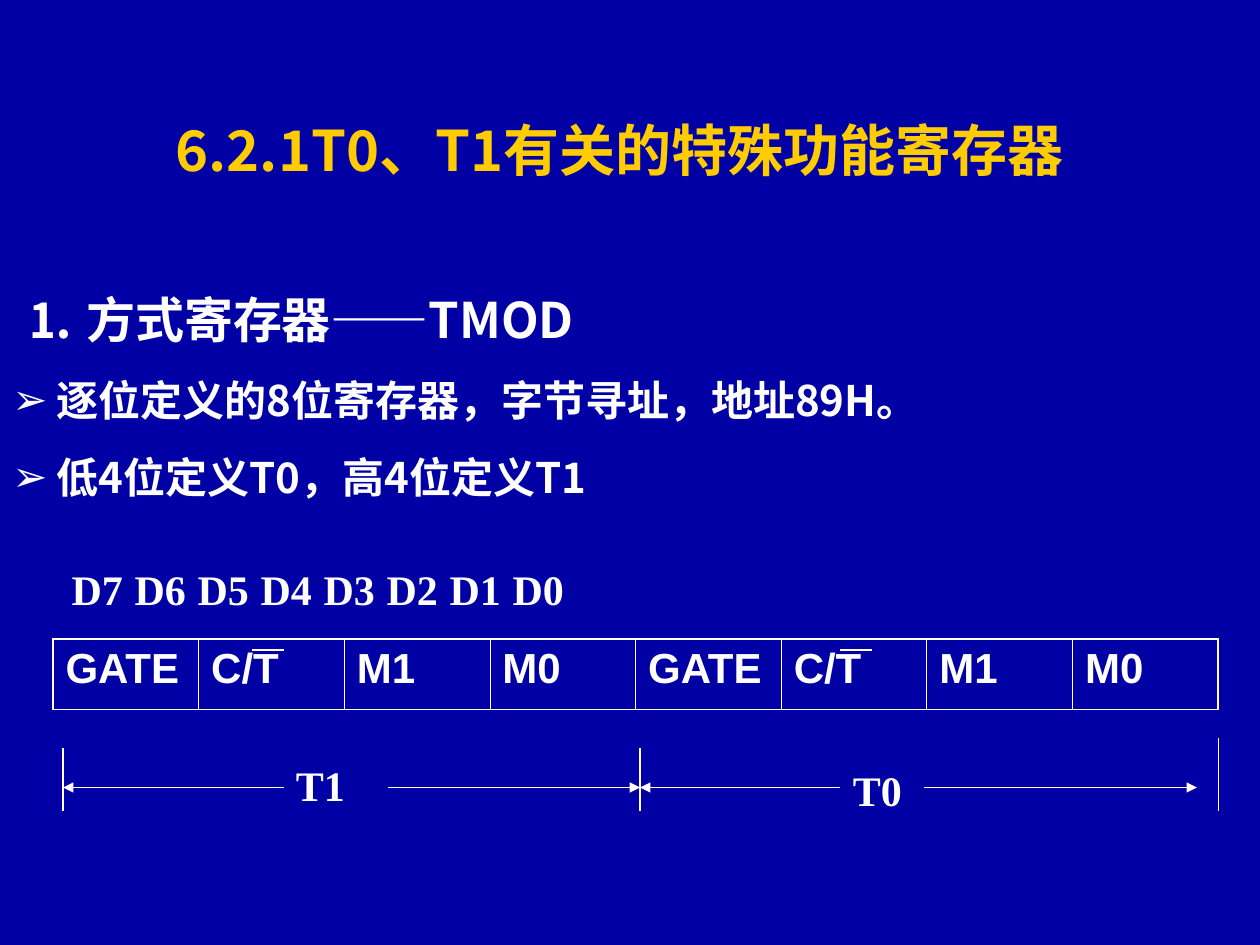
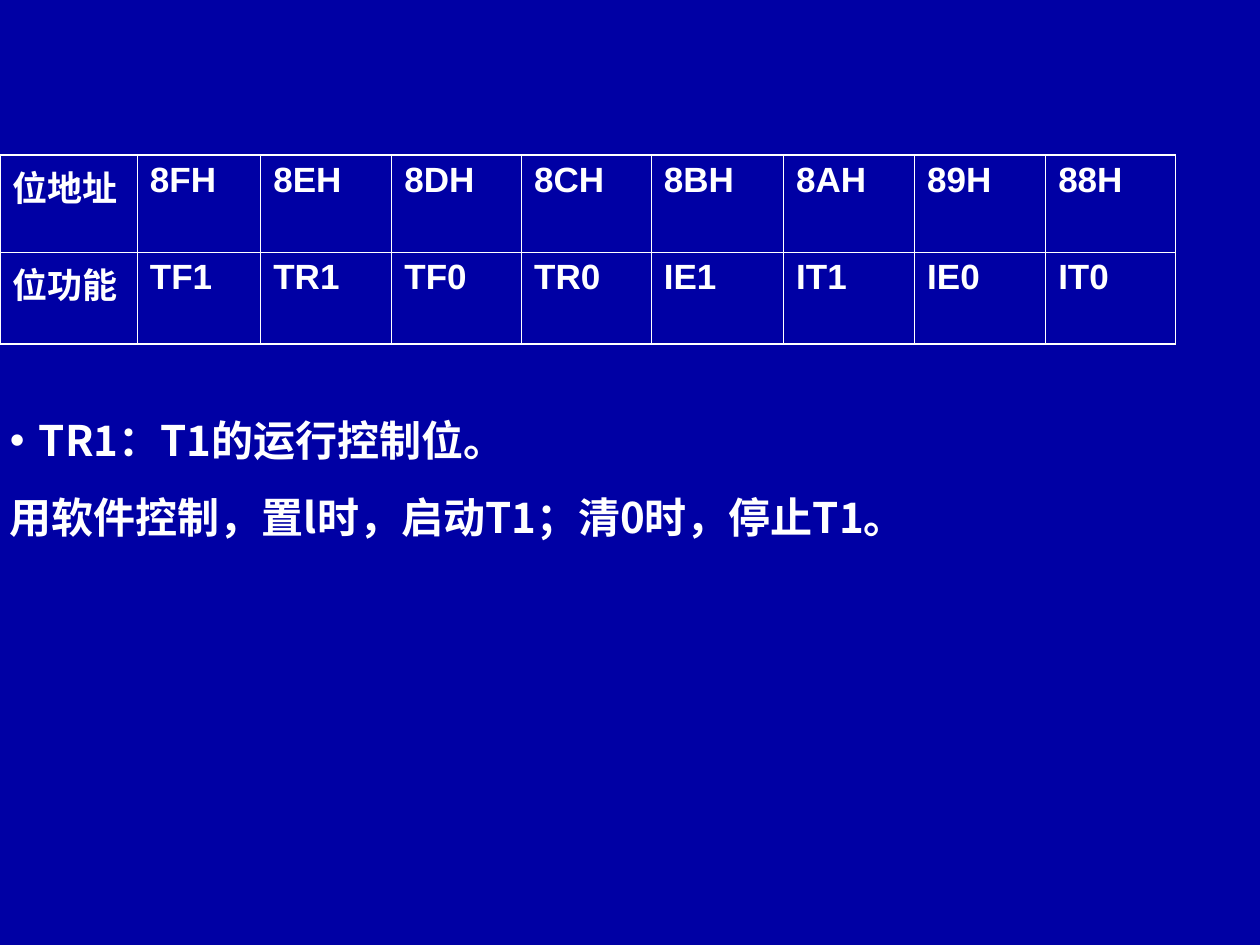
import pptx
import pptx.util
import pptx.dml.color
import pptx.enum.shapes
import pptx.enum.text
import pptx.oxml
import pptx.oxml.ns
from lxml import etree

Inches, Pt = pptx.util.Inches, pptx.util.Pt
Color = pptx.dml.color.RGBColor
Align = pptx.enum.text.PP_ALIGN
qn = pptx.oxml.ns.qn


class Theme:
    back, ink, gold = "0000A4", "FFFFFF", "FFCC00"
    hans, sans, serif = "Noto Sans CJK SC", "Arial", "Times New Roman"
    title, head, body, cell = 32, 28, 24, 20
    thin, thick, rule = 0.45, 1.08, 0.75


def style(para, text, size, face, gap=15, ink=Theme.ink, align=Align.LEFT,
          mark=None, left=0, tabs=()):
    """Fill one paragraph; mark is a bullet, left its text indent in inches."""
    para.text = text
    para.alignment = align
    para.space_before = Pt(gap)
    font = para.font
    font.size, font.bold, font.name = Pt(size), True, face
    font.color.rgb = Color.from_string(ink)
    props = para._p.get_or_add_pPr()
    base = props.find(qn("a:defRPr"))
    etree.SubElement(base, qn("a:ea"), typeface=face)
    props.set("marL", str(Inches(left)))
    props.set("indent", str(-Inches(left) if mark else 0))
    if mark:
        tint = etree.Element(qn("a:buClr"))
        etree.SubElement(tint, qn("a:srgbClr"), val=Theme.ink)
        base.addprevious(tint)
        base.addprevious(etree.Element(qn("a:buFont"), typeface=Theme.sans))
        base.addprevious(etree.Element(qn("a:buChar"), char=mark))
    if tabs:
        stops = etree.Element(qn("a:tabLst"))
        for stop in tabs:
            etree.SubElement(stops, qn("a:tab"), pos=str(Inches(stop)), algn="l")
        base.addprevious(stops)


def frame(slide, left, top, width, height):
    """Add a wrapping text box and return its text frame."""
    box = slide.shapes.add_textbox(*map(Inches, (left, top, width, height)))
    box.text_frame.word_wrap = True
    return box.text_frame


deck = pptx.Presentation()
deck.slide_width, deck.slide_height = Inches(10), Inches(7.5)
mode, control = [deck.slides.add_slide(deck.slide_layouts[6]) for _ in range(2)]
for slide in (mode, control):
    slide.background.fill.solid()
    slide.background.fill.fore_color.rgb = Color.from_string(Theme.back)

# Title
title = frame(mode, 0, 0.92, 9.84, 1.08)
title.margin_top = 0
style(title.paragraphs[0], "6.2.1T0、T1有关的特殊功能寄存器", Theme.title,
      Theme.hans, gap=0, ink=Theme.gold, align=Align.CENTER)

# Body text: place, then (text, size, bullet, indent)
bodies = [
    (mode, (0, 2.25, 10, 3), [
        ("⒈ 方式寄存器——TMOD", Theme.head, None, 0.11),
        ("逐位定义的8位寄存器，字节寻址，地址89H。", Theme.body, "➢", 0.35),
        ("低4位定义T0，高4位定义T1", Theme.body, "➢", 0.35)]),
    (control, (-0.02, 3.24, 10, 1.72), [
        ("TR1：T1的运行控制位。", Theme.body, "•", 0.23),
        ("用软件控制，置l时，启动T1；清0时，停止T1。", Theme.body, None, 0)]),
]
for slide, place, rows in bodies:
    text = frame(slide, *place)
    for i, (words, size, mark, left) in enumerate(rows):
        para = text.add_paragraph() if i else text.paragraphs[0]
        style(para, words, size, Theme.hans, gap=17.5 if size == Theme.head else 15,
              align=Align.JUSTIFY, mark=mark, left=left)

# Bit numbers above the register, set on tab stops
bits = frame(mode, 0.47, 4.42, 9.5, 0.5)
style(bits.paragraphs[0], "\t".join(f"D{n}" for n in range(7, -1, -1)),
      Theme.body, Theme.serif, tabs=(1.33, 2.41, 3.57, 4.74, 5.9, 7.14, 8.29))

# Register tables: place, column widths, row heights, type size, gap, cells
half = ["GATE", "C/T", "M1", "M0"]
grids = [
    (mode, 0.42, 5.07, [9.25 / 8] * 8, [0.56], Theme.body, 6, [half * 2]),
    (control, 0, 1.23, [1.09, 0.98, 1.04, 1.03, 1.03, 1.05, 1.04, 1.04, 1.03],
     [0.77, 0.73], Theme.cell, 5,
     [["位地址"] + [f"8{d}H" for d in "FEDCBA98"],
      "位功能 TF1 TR1 TF0 TR0 IE1 IT1 IE0 IT0".split()]),
]
for slide, left, top, wide, high, size, gap, cells in grids:
    shape = slide.shapes.add_table(
        len(high), len(wide), Inches(left), Inches(top),
        Inches(sum(wide)), Inches(sum(high)))
    table = shape.table
    table.first_row = table.horz_banding = False
    for c, width in enumerate(wide):
        table.columns[c].width = Inches(width)
    for r, height in enumerate(high):
        table.rows[r].height = Inches(height)
        for c, words in enumerate(cells[r]):
            cell = table.cell(r, c)
            face = Theme.sans if words.isascii() else Theme.hans
            style(cell.text_frame.paragraphs[0], words, size, face, gap=gap)
            props = cell._tc.get_or_add_tcPr()
            outer = {"lnL": c == 0, "lnR": c == len(wide) - 1,
                     "lnT": r == 0, "lnB": r == len(high) - 1}
            for side, edge in outer.items():
                weight = Theme.thick if edge else Theme.thin
                line = etree.SubElement(props, qn("a:" + side), w=str(Pt(weight)))
                fill = etree.SubElement(line, qn("a:solidFill"))
                etree.SubElement(fill, qn("a:srgbClr"), val=Theme.ink)
            cell.fill.background()

# Overbars on T, span ticks and span arrows: x1, y1, x2, y2, arrow
bars = [(x, 5.16, x + 0.25, 5.16, False) for x in (2, 6.67)]
ticks = [(x, y, x, 6.44, False) for x, y in ((0.5, 5.94), (5.08, 5.94), (9.67, 5.86))]
spans = [(x, 6.25, end, 6.25, True)
         for x, end in ((2.25, 0.5), (3.08, 5.08), (6.67, 5.08), (7.33, 9.5))]
for *ends, arrow in bars + ticks + spans:
    line = mode.shapes.add_connector(
        pptx.enum.shapes.MSO_CONNECTOR.STRAIGHT, *map(Inches, ends))
    line.line.width = Pt(Theme.rule)
    line.line.color.rgb = Color.from_string(Theme.ink)
    if arrow:
        etree.SubElement(line.line._get_or_add_ln(), qn("a:tailEnd"), type="triangle")
    etree.SubElement(line._element.spPr, qn("a:effectLst"))

# Timer names inside the spans
for name, place in (("T1", (2.25, 5.98, 0.83, 0.5)), ("T0", (6.67, 6.02, 0.75, 0.5))):
    style(frame(mode, *place).paragraphs[0], name, Theme.body, Theme.serif)

deck.save("out.pptx")
